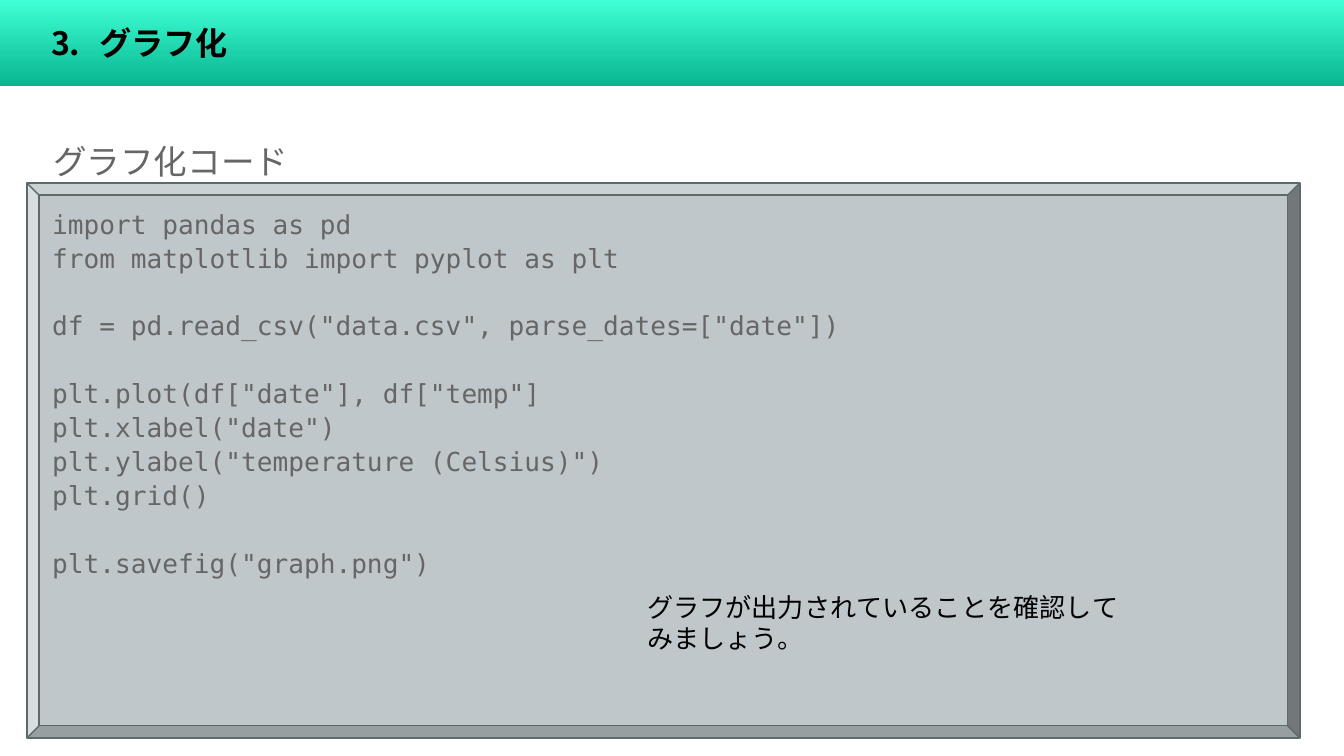
from pptx import Presentation
from pptx.dml.color import RGBColor
from pptx.enum.shapes import MSO_SHAPE as SHAPE
from pptx.enum.text import MSO_ANCHOR as ANCHOR, MSO_AUTO_SIZE as AUTO, PP_ALIGN as ALIGN
from pptx.oxml.ns import qn
from pptx.util import Emu, Pt
from lxml.etree import SubElement

# Content
MONO, SANS = "DejaVu Sans Mono", "Noto Sans CJK JP"
BLACK, GREY = "000000", "666666"
TITLE = [("3.", SANS), (" ", MONO), ("グラフ化", SANS)]
HEADING = "グラフ化コード"
CODE_BLOCKS = [
    ["import pandas as pd",
     "from matplotlib import pyplot as plt"],
    ['df = pd.read_csv("data.csv", parse_dates=["date"])'],
    ['plt.plot(df["date"], df["temp"]',
     'plt.xlabel("date")',
     'plt.ylabel("temperature (Celsius)")',
     "plt.grid()"],
    ['plt.savefig("graph.png")'],
]
REMARK = "グラフが出力されていることを確認してみましょう。"

# Layout in px: left, top, width, height
SCALE = 914400 / 134.4
SLIDE = (1344, 756)
BANNER = (0, 0, 1344, 86)
HEADING_BOX = (40, 122, 1273, 591)
CODE_BOX = (27, 183, 1273, 555)
REMARK_BOX = (634, 578, 515, 90)
INSET, TITLE_INDENT = 13, 38
LINE_GAP, BLOCK_GAP = 1.5, 19.3  # points before a line, before a block


def px(value):
    return Emu(round(value * SCALE))


def rgb(color):
    return RGBColor.from_string(color)


def place(shape, box):
    shape.left, shape.top, shape.width, shape.height = map(px, box)


def set_frame(shape, anchor=ANCHOR.TOP):
    frame = shape.text_frame
    frame.word_wrap, frame.auto_size = True, AUTO.NONE
    frame.vertical_anchor = anchor
    frame.margin_left = frame.margin_right = px(INSET)
    frame.margin_top = frame.margin_bottom = px(INSET)
    return frame


def add_run(paragraph, text, size, color, font=MONO, bold=False):
    paragraph.alignment = ALIGN.LEFT
    run = paragraph.add_run()
    run.text = text
    run.font.size, run.font.bold, run.font.name = Pt(size), bold, font
    run.font.color.rgb = rgb(color)
    SubElement(run.font._element, qn("a:ea")).set("typeface", font)


def set_indent(paragraph, left):
    properties = paragraph._p.get_or_add_pPr()
    properties.set("marL", str(px(left)))
    properties.set("indent", "0")
    SubElement(properties, qn("a:buNone"))


deck = Presentation()
deck.slide_width, deck.slide_height = map(px, SLIDE)
slide = deck.slides.add_slide(deck.slide_layouts[1])
banner, heading = slide.placeholders

# Title banner
place(banner, BANNER)
banner.fill.gradient()
banner.fill.gradient_angle = 270
for stop, position, color in zip(banner.fill.gradient_stops, (0, 1), ("40FFD6", "07B690")):
    stop.position, stop.color.rgb = position, rgb(color)
title_line = set_frame(banner, ANCHOR.MIDDLE).paragraphs[0]
set_indent(title_line, TITLE_INDENT)
for text, font in TITLE:
    add_run(title_line, text, 17.2, BLACK, font, bold=True)

# Heading above the code
place(heading, HEADING_BOX)
heading_line = set_frame(heading).paragraphs[0]
set_indent(heading_line, 0)
heading_line.line_spacing = 1.15
heading_line.space_before, heading_line.space_after = Pt(0), Pt(12)
add_run(heading_line, HEADING, 18, GREY)

# Code panel
panel = slide.shapes.add_shape(SHAPE.BEVEL, *map(px, CODE_BOX))
panel.adjustments[0] = 0.022
panel.shadow.inherit = False
panel.fill.solid()
panel.fill.fore_color.rgb = rgb("BFC7CA")
panel.line.color.rgb = rgb("5E696C")
panel.line.width = Pt(0.75)
code = set_frame(panel)
for block_no, block in enumerate(CODE_BLOCKS):
    for line_no, text in enumerate(block):
        first = block_no == line_no == 0
        code_line = code.paragraphs[0] if first else code.add_paragraph()
        if not first:
            code_line.space_before = Pt(LINE_GAP if line_no else BLOCK_GAP)
        add_run(code_line, text, 14, GREY)

# Remark over the panel
remark = slide.shapes.add_textbox(*map(px, REMARK_BOX))
add_run(set_frame(remark).paragraphs[0], REMARK, 14, BLACK)

deck.save("out.pptx")
